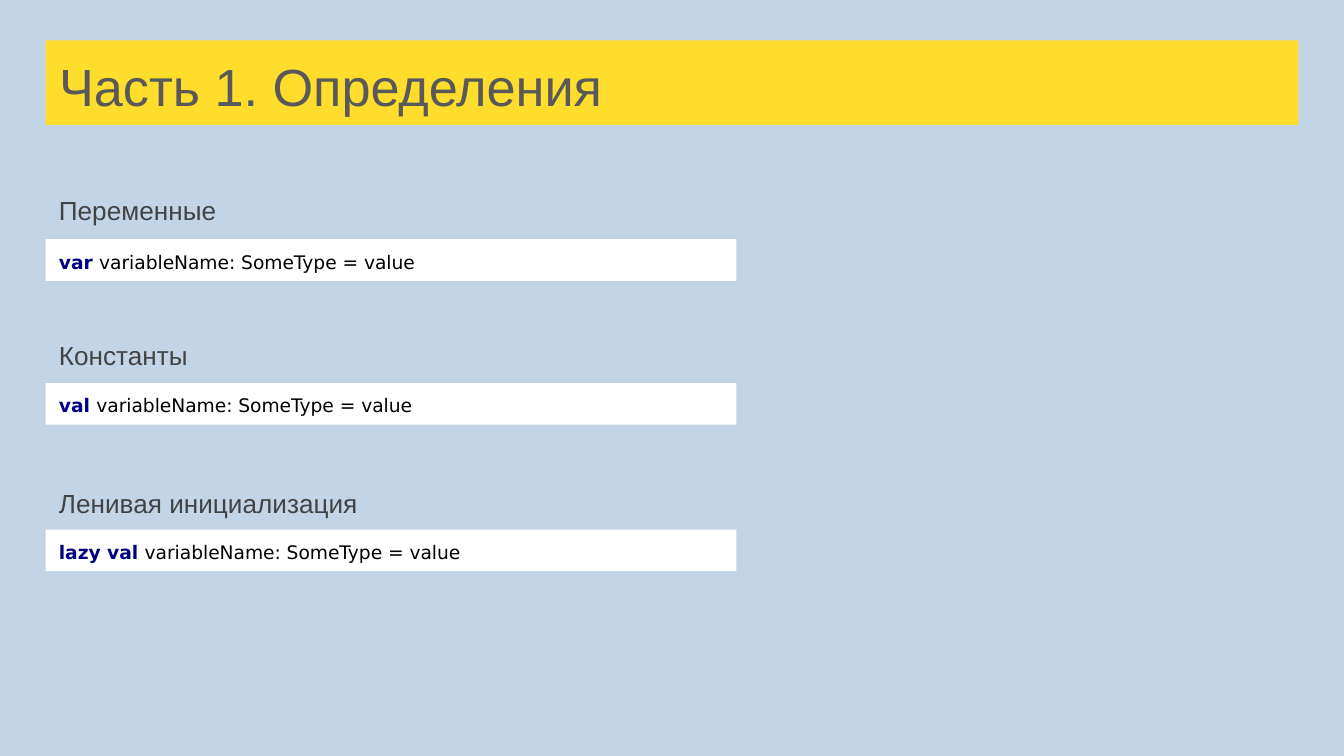
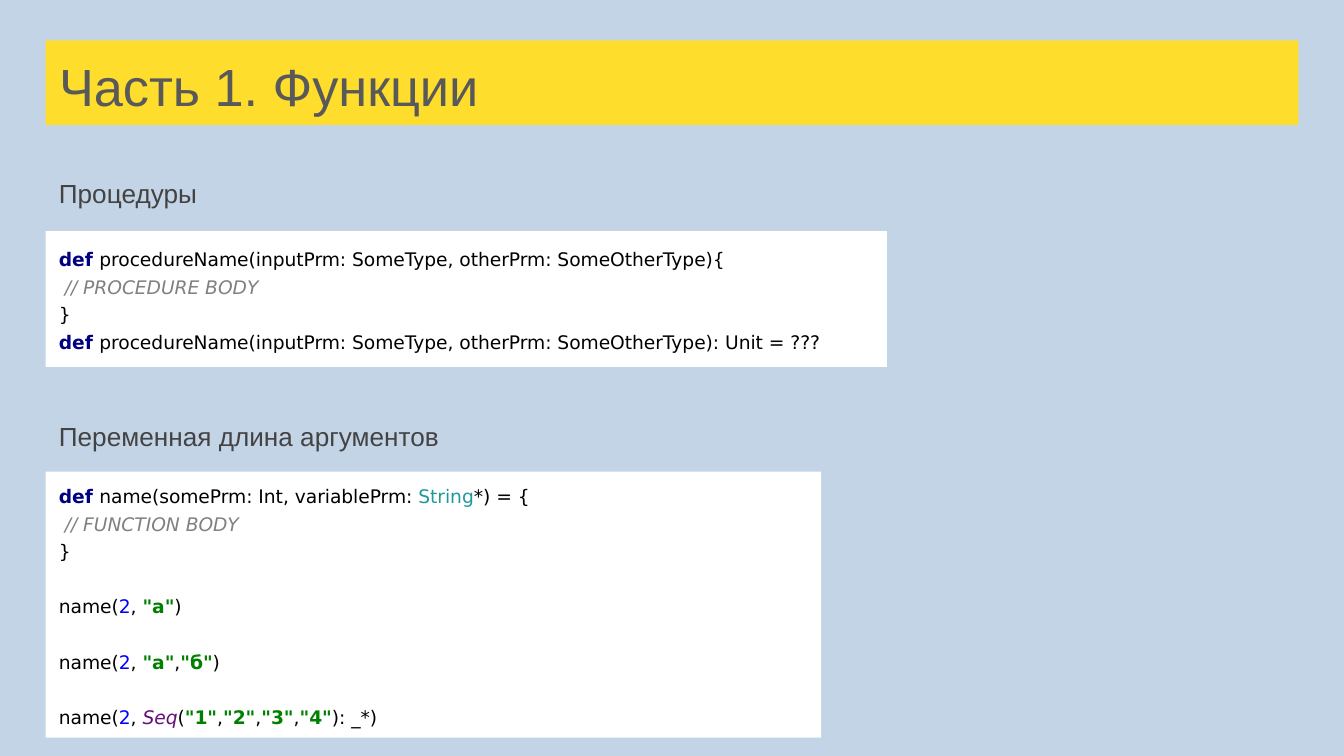
from dataclasses import dataclass

from pptx import Presentation
from pptx.dml.color import RGBColor
from pptx.enum.shapes import MSO_SHAPE as Shape
from pptx.enum.text import MSO_ANCHOR as Anchor, MSO_AUTO_SIZE as Fit, PP_ALIGN as Align
from pptx.util import Inches, Pt


@dataclass(frozen=True)
class Theme:
    back: str = "C3D4E6"
    band: str = "FFDD2D"
    panel: str = "FFFFFF"
    title: str = "595959"
    head: str = "434343"
    font: str = "Arial"
    mono: str = "DejaVu Sans"
    big: int = 28
    mid: int = 14
    small: int = 10
    left: float = 0.34
    pad: float = 0.1
    lead: float = 1.15
    after: int = 1
    blank: float = 14.8  # points taken by one empty code line


THEME = Theme()

# Colour, bold and italic for each kind of code token
PLAIN = ("000000", False, False)
KEY = ("000080", True, False)
NOTE = ("808080", False, True)
TYPE = ("20999D", False, False)
NUM = ("0000FF", False, False)
STR = ("008000", True, False)
OBJ = ("660E7A", False, True)


def rgb(code):
    return RGBColor.from_string(code)


def write(par, text, font=THEME.font, size=THEME.mid, color=THEME.head,
          bold=False, italic=False):
    """Add one formatted run to a paragraph."""
    run = par.add_run()
    run.text = text
    run.font.name = font
    run.font.size = Pt(size)
    run.font.color.rgb = rgb(color)
    run.font.bold = bold
    run.font.italic = italic


class Deck:
    def __init__(self, theme):
        self.theme = theme
        self.file = Presentation()
        # 16:9 page
        self.file.slide_width = Inches(10)
        self.file.slide_height = Inches(10 * 9 / 16)
        fill = self.file.slide_master.background.fill
        fill.solid()
        fill.fore_color.rgb = rgb(theme.back)
        self.slide = None

    def frame(self, shape, anchor=Anchor.TOP):
        """Set insets, wrap and anchor; return the text frame."""
        box = shape.text_frame
        pad = Inches(self.theme.pad)
        box.margin_left = box.margin_right = pad
        box.margin_top = box.margin_bottom = pad
        box.auto_size = Fit.NONE
        box.word_wrap = True
        box.vertical_anchor = anchor
        return box

    def space(self, par):
        par.line_spacing = self.theme.lead
        par.space_after = Pt(self.theme.after)

    def start(self, text):
        """Open a slide with its title band."""
        look = self.theme
        self.slide = self.file.slides.add_slide(self.file.slide_layouts[5])
        band = self.slide.shapes.title
        band.left, band.top = Inches(look.left), Inches(0.3)
        band.width, band.height = Inches(9.32), Inches(0.63)
        band.fill.solid()
        band.fill.fore_color.rgb = rgb(look.band)
        par = self.frame(band).paragraphs[0]
        par.alignment = Align.LEFT
        write(par, text, size=look.big, color=look.title)

    def head(self, text, top, loose=False):
        """Add a heading above a code panel."""
        box = self.slide.shapes.add_textbox(
            Inches(self.theme.left), Inches(top), Inches(4.07), Inches(0.48))
        par = self.frame(box).paragraphs[0]
        if loose:
            self.space(par)
        write(par, text)

    def code(self, lines, top, width, height):
        """Add a code panel; a None line leaves a gap before the next one."""
        look = self.theme
        panel = self.slide.shapes.add_shape(
            Shape.RECTANGLE, Inches(look.left), Inches(top),
            Inches(width), Inches(height))
        panel.shadow.inherit = False
        panel.fill.solid()
        panel.fill.fore_color.rgb = rgb(look.panel)
        panel.line.fill.background()
        box = self.frame(panel, Anchor.MIDDLE)
        par, gap = box.paragraphs[0], 0
        for line in lines:
            if line is None:
                gap += look.blank
                continue
            if par.runs:
                par = box.add_paragraph()
            par.alignment = Align.LEFT
            self.space(par)
            par.space_before = Pt(gap)
            gap = 0
            for text, (color, bold, italic) in line:
                write(par, text, font=look.mono, size=look.small,
                      color=color, bold=bold, italic=italic)


def define(word, rest):
    return [(word + " ", KEY), (rest, PLAIN)]


def body(note):
    return [[(" ", PLAIN), (note, NOTE)], [("}", PLAIN)]]


def quote(*words):
    """Quoted strings with plain commas between them."""
    out = []
    for word in words:
        if out:
            out.append((",", PLAIN))
        out.append((f'"{word}"', STR))
    return out


def call(args, end=")"):
    return [("name(", PLAIN), ("2", NUM), (", ", PLAIN), *args, (end, PLAIN)]


def main():
    deck = Deck(THEME)

    # Definitions
    deck.start("Часть 1. Определения")
    terms = [
        ("Переменные", "var", 1.31, 1.78),
        ("Константы", "val", 2.39, 2.85),
        ("Ленивая инициализация", "lazy val", 3.49, 3.94),
    ]
    for name, word, top, low in terms:
        deck.head(name, top, loose=True)
        deck.code([define(word, "variableName: SomeType = value")], low, 5.14, 0.31)

    # Functions
    deck.start("Часть 1. Функции")
    sign = "procedureName(inputPrm: SomeType, otherPrm: SomeOtherType)"
    deck.head("Процедуры", 1.22)
    deck.code([
        define("def", sign + "{"),
        *body("// PROCEDURE BODY"),
        define("def", sign + ": Unit = ???"),
    ], 1.72, 6.26, 1.01)

    deck.head("Переменная длина аргументов", 3.03)
    deck.code([
        define("def", "name(somePrm: Int, variablePrm: ")
        + [("String", TYPE), ("*) = {", PLAIN)],
        *body("// FUNCTION BODY"),
        None,
        call(quote("a")),
        None,
        call(quote("a", "б")),
        None,
        call([("Seq", OBJ), ("(", PLAIN), *quote("1", "2", "3", "4")], "): _*)"),
    ], 3.51, 5.77, 1.98)

    deck.file.save("out.pptx")


if __name__ == "__main__":
    main()
